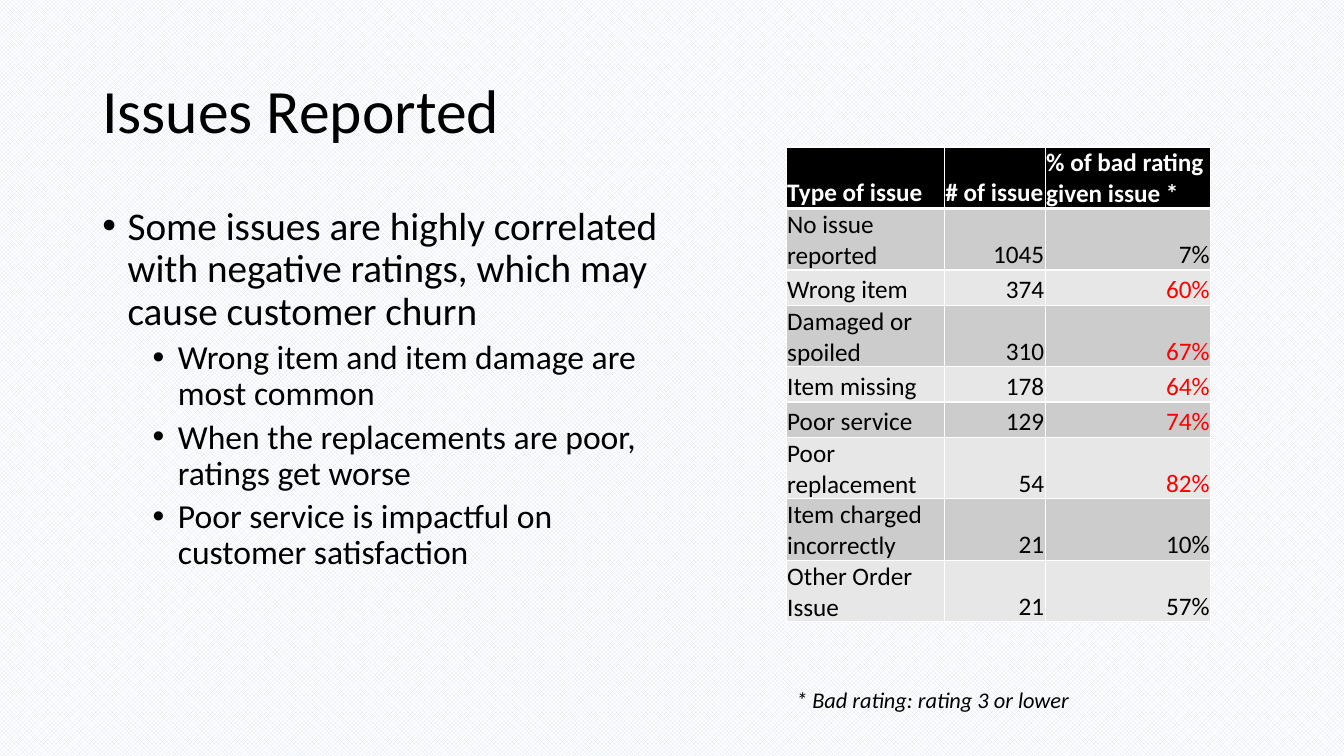
from dataclasses import dataclass

from lxml import etree
from pptx import Presentation, util as u
from pptx.dml.color import RGBColor
from pptx.enum import dml, text
from pptx.oxml import ns

FONT = "Calibri"
COLORS = {
    "ink": "000000",
    "paper": "FFFFFF",
    "trellis": "DAE3F3",
    "band_dark": "CCCCCC",
    "band_light": "E7E7E7",
    "alert": "FF0000",
}
ALERT_PERCENT = 60

# The slide is a grid of square cells, 160 columns by 90 rows.
GRID_UNIT = u.Inches(1) / 12
SLIDE_COLUMNS, SLIDE_ROWS = 160, 90
LEFT_MARGIN, TABLE_LEFT = 11, 93.6


@dataclass(frozen=True)
class Area:
    column: float
    row: float
    columns: float
    rows: float

    def lengths(self) -> list[u.Emu]:
        return [grid(n) for n in (self.column, self.row, self.columns, self.rows)]


@dataclass(frozen=True)
class Style:
    size: float
    color: str = "ink"
    bold: bool = False
    italic: bool = False


@dataclass(frozen=True)
class Line:
    wording: str
    style: Style
    level: int = 0
    bullet: bool = False
    spacing: float = 1.0
    space_before: float = 0


@dataclass(frozen=True)
class Issue:
    kind: str
    count: int
    bad_percent: int


BODY, SUB = Style(28), Style(24)
TITLE = Line("Issues Reported", Style(44), spacing=0.9)
FOOTNOTE = Line("* Bad rating: rating 3 or lower", Style(16, italic=True))
FINDING = Line(
    "Some issues are highly correlated with negative ratings, which may cause customer churn",
    BODY, bullet=True, spacing=0.9,
)
DETAILS = [
    Line(wording, SUB, level=1, bullet=True, spacing=0.9, space_before=5)
    for wording in (
        "Wrong item and item damage are most common",
        "When the replacements are poor, ratings get worse",
        "Poor service is impactful on customer satisfaction",
    )
]
HEADINGS = ("Type of issue", "# of issue", "% of bad rating given issue *")
ISSUES = [
    Issue("No issue reported", 1045, 7),
    Issue("Wrong item", 374, 60),
    Issue("Damaged or spoiled", 310, 67),
    Issue("Item missing", 178, 64),
    Issue("Poor service", 129, 74),
    Issue("Poor replacement", 54, 82),
    Issue("Item charged incorrectly", 21, 10),
    Issue("Other Order Issue", 21, 57),
]
TABLE_COLUMNS = (18.84, 12, 19.68)
HEADING_ROWS, ISSUE_ROWS = 5.76, 4.2


def grid(count: float) -> u.Emu:
    return u.Emu(round(count * GRID_UNIT))


def rgb(name: str) -> RGBColor:
    return RGBColor.from_string(COLORS[name])


def add_span(para, wording: str, style: Style) -> None:
    span = para.add_run()
    span.text = wording
    font = span.font
    font.name, font.size = FONT, u.Pt(style.size)
    font.bold, font.italic = style.bold, style.italic
    font.color.rgb = rgb(style.color)


def add_bullet(para, level: int) -> None:
    properties = para._p.get_or_add_pPr()
    properties.set("marL", str(u.Inches(0.25 + 0.5 * level)))
    properties.set("indent", str(u.Inches(-0.25)))
    etree.SubElement(properties, ns.qn("a:buFont"), typeface="Arial")
    etree.SubElement(properties, ns.qn("a:buChar"), char="•")


def add_text(page, area: Area, lines: list[Line], anchor=text.MSO_ANCHOR.TOP) -> None:
    frame = page.shapes.add_textbox(*area.lengths()).text_frame
    frame.word_wrap = True
    frame.vertical_anchor = anchor
    for index, line in enumerate(lines):
        para = frame.add_paragraph() if index else frame.paragraphs[0]
        para.level = line.level
        if line.bullet:
            add_bullet(para, line.level)
        para.line_spacing = line.spacing
        para.space_before = u.Pt(line.space_before)
        add_span(para, line.wording, line.style)


def add_borders(cell, widths: dict[str, float]) -> None:
    properties = cell._tc.get_or_add_tcPr()
    for side, width in widths.items():
        border = etree.SubElement(properties, ns.qn(f"a:ln{side}"), w=str(u.Pt(width)))
        fill = etree.SubElement(border, ns.qn("a:solidFill"))
        etree.SubElement(fill, ns.qn("a:srgbClr"), val=COLORS["paper"])


def fill_cell(cell, wording: str, style: Style, fill: str, align, widths: dict[str, float]) -> None:
    cell.margin_left = cell.margin_right = cell.margin_top = u.Inches(0.01)
    cell.margin_bottom = 0
    cell.vertical_anchor = text.MSO_ANCHOR.BOTTOM
    add_borders(cell, widths)
    cell.fill.solid()
    cell.fill.fore_color.rgb = rgb(fill)
    para = cell.text_frame.paragraphs[0]
    para.alignment = align
    add_span(para, wording, style)


def add_issue_table(page) -> None:
    height = HEADING_ROWS + ISSUE_ROWS * len(ISSUES)
    area = Area(TABLE_LEFT, 17.5, sum(TABLE_COLUMNS), height)
    table = page.shapes.add_table(len(ISSUES) + 1, len(HEADINGS), *area.lengths()).table
    table.horz_banding = False
    for column, width in zip(table.columns, TABLE_COLUMNS):
        column.width = grid(width)
    for index, row in enumerate(table.rows):
        row.height = grid(ISSUE_ROWS if index else HEADING_ROWS)

    left, right = text.PP_ALIGN.LEFT, text.PP_ALIGN.RIGHT
    thin = dict.fromkeys("LRTB", 1)
    heading_style = Style(18, "paper", bold=True)
    for column, heading in enumerate(HEADINGS):
        fill_cell(table.cell(0, column), heading, heading_style, "ink", left, thin | {"B": 3})
    for row, issue in enumerate(ISSUES, start=1):
        fill = "band_dark" if row % 2 else "band_light"
        edges = thin | {"T": 3} if row == 1 else thin
        percent_color = "alert" if issue.bad_percent >= ALERT_PERCENT else "ink"
        entries = (
            (issue.kind, "ink", left),
            (str(issue.count), "ink", right),
            (f"{issue.bad_percent}%", percent_color, right),
        )
        for column, (wording, color, align) in enumerate(entries):
            fill_cell(table.cell(row, column), wording, Style(18, color), fill, align, edges)


def main() -> None:
    deck = Presentation()
    deck.slide_width, deck.slide_height = grid(SLIDE_COLUMNS), grid(SLIDE_ROWS)
    page = deck.slides.add_slide(deck.slide_layouts[6])
    backdrop = page.background.fill
    backdrop.patterned()
    backdrop.pattern = dml.MSO_PATTERN.TRELLIS
    backdrop.fore_color.rgb = rgb("trellis")
    backdrop.back_color.rgb = rgb("paper")

    title_area = Area(LEFT_MARGIN, 4.8, SLIDE_COLUMNS - 2 * LEFT_MARGIN, 17.4)
    add_text(page, title_area, [TITLE], text.MSO_ANCHOR.MIDDLE)
    add_text(page, Area(LEFT_MARGIN, 24, 69, 57.1), [FINDING, *DETAILS])
    add_issue_table(page)
    add_text(page, Area(TABLE_LEFT, 81.1, 36, 4.4), [FOOTNOTE])
    deck.save("out.pptx")


if __name__ == "__main__":
    main()
